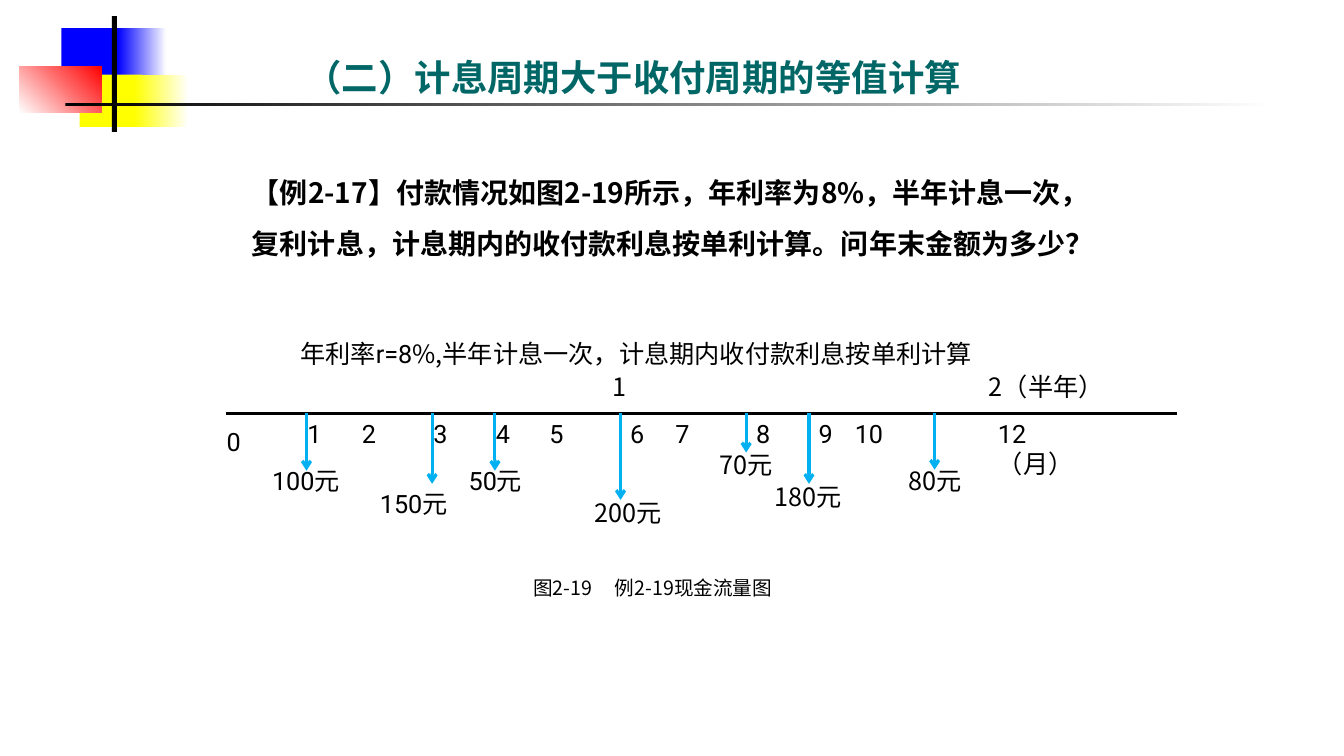
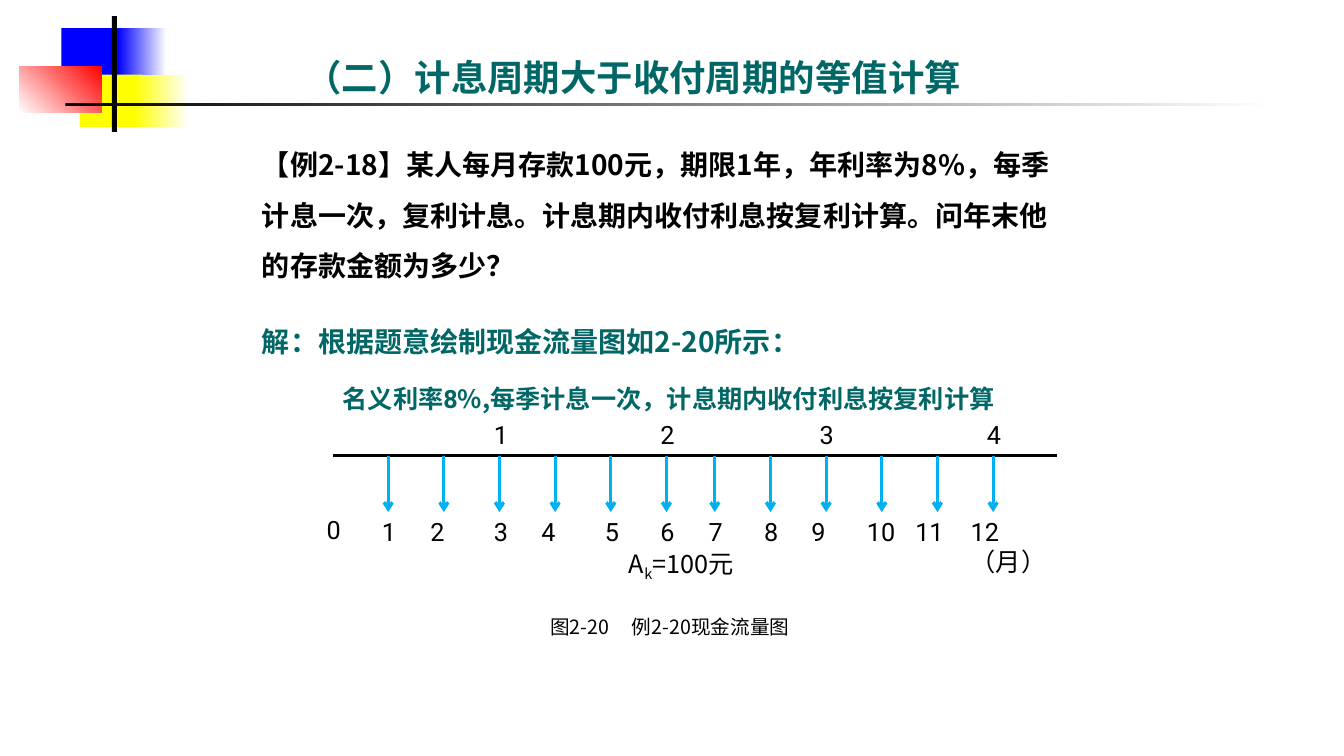
from dataclasses import dataclass

from lxml.etree import SubElement
from pptx import Presentation
from pptx.dml.color import RGBColor
from pptx.enum.shapes import MSO_CONNECTOR as Connector, MSO_SHAPE as Shape
from pptx.enum.text import MSO_ANCHOR as Anchor
from pptx.oxml.ns import qn
from pptx.util import Emu, Pt

PX = 9144  # 100 px to the inch


@dataclass(frozen=True)
class Theme:
    black: str = "000000"
    white: str = "FFFFFF"
    teal: str = "006666"
    sky: str = "00B0F0"
    blue: str = "0000FF"
    yellow: str = "FFFF00"
    red: str = "FF0000"
    cjk: str = "Noto Sans CJK SC"
    latin: str = "Roboto"
    title: int = 26
    body: int = 20
    label: int = 18
    caption: int = 14
    stroke: float = 2.25


THEME = Theme()


@dataclass(frozen=True)
class Box:
    left: int
    top: int
    width: int
    height: int

    def inner(self, x, y, width, height):
        return Box(self.left + x, self.top + y, width, height)

    def emu(self):
        return [px(v) for v in (self.left, self.top, self.width, self.height)]


@dataclass(frozen=True)
class Span:
    text: str
    latin: str = THEME.cjk
    baseline: int = 0


def px(value):
    return Emu(round(value * PX))


def rgb(value):
    return RGBColor.from_string(value)


def style_run(run, span, size, color, bold):
    run.font.size = Pt(size)
    run.font.bold = bold
    run.font.color.rgb = rgb(color)
    run.font.name = span.latin
    props = run.font._element
    SubElement(props, qn("a:ea")).set("typeface", THEME.cjk)
    if span.baseline:
        props.set("baseline", str(span.baseline * 1000))


def fill_para(para, spans, size, color=THEME.black, bold=False):
    for span in spans:
        run = para.add_run()
        run.text = span.text
        style_run(run, span, size, color, bold)


def text_box(page, box, spans, size, color=THEME.black, bold=False):
    frame = page.shapes.add_textbox(*box.emu()).text_frame
    frame.word_wrap = True
    fill_para(frame.paragraphs[0], spans, size, color, bold)
    return frame


def block(page, box, start, end=None, angle=0):
    """Add a borderless rectangle, plain or with a gradient."""
    shape = page.shapes.add_shape(Shape.RECTANGLE, *box.emu())
    shape.shadow.inherit = False
    shape.line.fill.background()
    if end is None:
        shape.fill.solid()
        shape.fill.fore_color.rgb = rgb(start)
        return
    shape.fill.gradient()
    shape.fill.gradient_angle = angle
    for stop, color in zip(shape.fill.gradient_stops, (start, end)):
        stop.color.rgb = rgb(color)


def line(page, x1, y1, x2, y2, color, arrow=False):
    connector = page.shapes.add_connector(
        Connector.STRAIGHT, px(x1), px(y1), px(x2), px(y2))
    connector.line.color.rgb = rgb(color)
    connector.line.width = Pt(THEME.stroke)
    props = connector._element.spPr
    if arrow:
        SubElement(props.find(qn("a:ln")), qn("a:tailEnd")).set("type", "arrow")
    SubElement(props, qn("a:effectLst"))


def ornament(page, box):
    block(page, box.inner(42, 12, 64, 52), THEME.blue)
    block(page, box.inner(98, 12, 48, 52), THEME.blue, THEME.white)
    block(page, box.inner(60, 58, 62, 52), THEME.yellow)
    block(page, box.inner(114, 58, 54, 52), THEME.yellow, THEME.white)
    block(page, box.inner(0, 50, 82, 46), THEME.white, THEME.red, 45)
    block(page, box.inner(92, 0, 5, 115), THEME.black)
    block(page, box.inner(46, 86, 1200, 3), THEME.black, THEME.white)


def new_page(deck, title):
    page = deck.slides.add_slide(deck.slide_layouts[6])
    ornament(page, Box(19, 16, 1246, 115))
    frame = text_box(page, Box(293, 11, 852, 92), [Span(title)],
                     THEME.title, THEME.teal, True)
    frame.vertical_anchor = Anchor.BOTTOM
    return page


def example(page, box, question, answer=None):
    frame = text_box(page, box, [Span(question)], THEME.body, bold=True)
    frame.paragraphs[0].line_spacing = 1.5
    if answer:
        para = frame.add_paragraph()
        para.line_spacing = 1.13
        para.space_before = Pt(27)
        fill_para(para, [Span(answer)], THEME.body, THEME.teal, True)


def caption(page, box, number, title):
    frame = text_box(page, box, [Span(f"{number}\t{title}")], THEME.caption)
    tabs = SubElement(frame.paragraphs[0]._p.get_or_add_pPr(), qn("a:tabLst"))
    tab = SubElement(tabs, qn("a:tab"))
    tab.set("pos", str(px(81)))
    tab.set("algn", "l")


def cash_flow(page, box, axis_y, axis_left, arrows, labels):
    """Draw the time axis, arrows as (x, length), labels as (x, y, width, spans)."""
    y = box.top + axis_y
    line(page, box.left + axis_left, y, box.left + box.width, y, THEME.black)
    for x, length in arrows:
        x += box.left
        line(page, x, y, x, y + length, THEME.sky, arrow=True)
    for x, top, width, spans in labels:
        text_box(page, box.inner(x, top, width, 40), spans, THEME.label)


def number_row(xs, y, width, first=1):
    return [(x, y, width, [Span(str(n), THEME.latin)])
            for n, x in enumerate(xs, first)]


def last_month(x, y, width):
    return x, y, width, [Span("12（月）", THEME.latin)]


def simple_interest_page(deck, title):
    page = new_page(deck, title)
    example(page, Box(240, 153, 869, 105),
            "【例2-17】付款情况如图2-19所示，年利率为8%，半年计息一次，"
            "复利计息，计息期内的收付款利息按单利计算。问年末金额为多少？")
    box = Box(215, 331, 952, 197)
    lengths = {1: 57, 3: 70, 4: 57, 6: 86, 8: 39, 9: 70, 11: 56}
    arrows = [(89 + 62.3 * (month - 1), length)
              for month, length in lengths.items()]
    amounts = [
        (45, 126, "100元", THEME.latin), (152, 149, "150元", THEME.latin),
        (240, 126, "50元", THEME.latin), (365, 157, "200元", THEME.cjk),
        (489, 110, "70元", THEME.cjk), (543, 142, "180元", THEME.cjk),
        (676, 126, "80元", THEME.cjk)]
    labels = [(x, y, 116, [Span(text, face)]) for x, y, text, face in amounts]
    labels += number_row([80, 134, 205, 267, 320, 400, 445, 525, 587, 623],
                         79, 62)
    labels += number_row([0], 87, 44, first=0)
    labels += [
        last_month(765, 79, 116),
        (383, 32, 142, [Span("1")]),
        (756, 32, 142, [Span("2（半年）")]),
        (73, 0, 798, [Span("年利率r=8", THEME.latin),
                      Span("%,半年计息一次，计息期内收付款利息按单利计算")])]
    cash_flow(page, box, 79, 9, arrows, labels)
    caption(page, Box(519, 566, 444, 34), "图2-19", "例2-19现金流量图")


def compound_interest_page(deck, title):
    page = new_page(deck, title)
    example(page, Box(250, 125, 822, 233),
            "【例2-18】某人每月存款100元，期限1年，年利率为8%，每季计息一次，"
            "复利计息。计息期内收付利息按复利计算。问年末他的存款金额为多少？",
            "解：根据题意绘制现金流量图如2-20所示：")
    box = Box(314, 375, 734, 204)
    text_box(page, box.inner(16, 0, 726, 40),
             [Span("名义利率8", THEME.latin),
              Span("%,每季计息一次，计息期内收付利息按复利计算")],
             THEME.label, THEME.teal, True)
    arrows = [(half + 55.2 * step, 56) for half in (71, 395) for step in range(6)]
    labels = number_row([55, 103, 166, 213, 276, 331, 379, 434, 481, 536, 584],
                        132, 55)
    labels += number_row([0], 130, 39, first=0)
    labels += number_row([166, 331, 489, 655], 36, 39)
    labels += [
        last_month(639, 132, 110),
        (300, 164, 394, [Span("A"), Span("k", baseline=-25), Span("=100元")])]
    cash_flow(page, box, 77, 16, arrows, labels)
    caption(page, Box(536, 605, 391, 34), "图2-20", "例2-20现金流量图")


def main():
    deck = Presentation()
    deck.slide_width, deck.slide_height = px(1333), px(750)
    title = "（二）计息周期大于收付周期的等值计算"
    simple_interest_page(deck, title)
    compound_interest_page(deck, title)
    deck.save("out.pptx")


if __name__ == "__main__":
    main()
